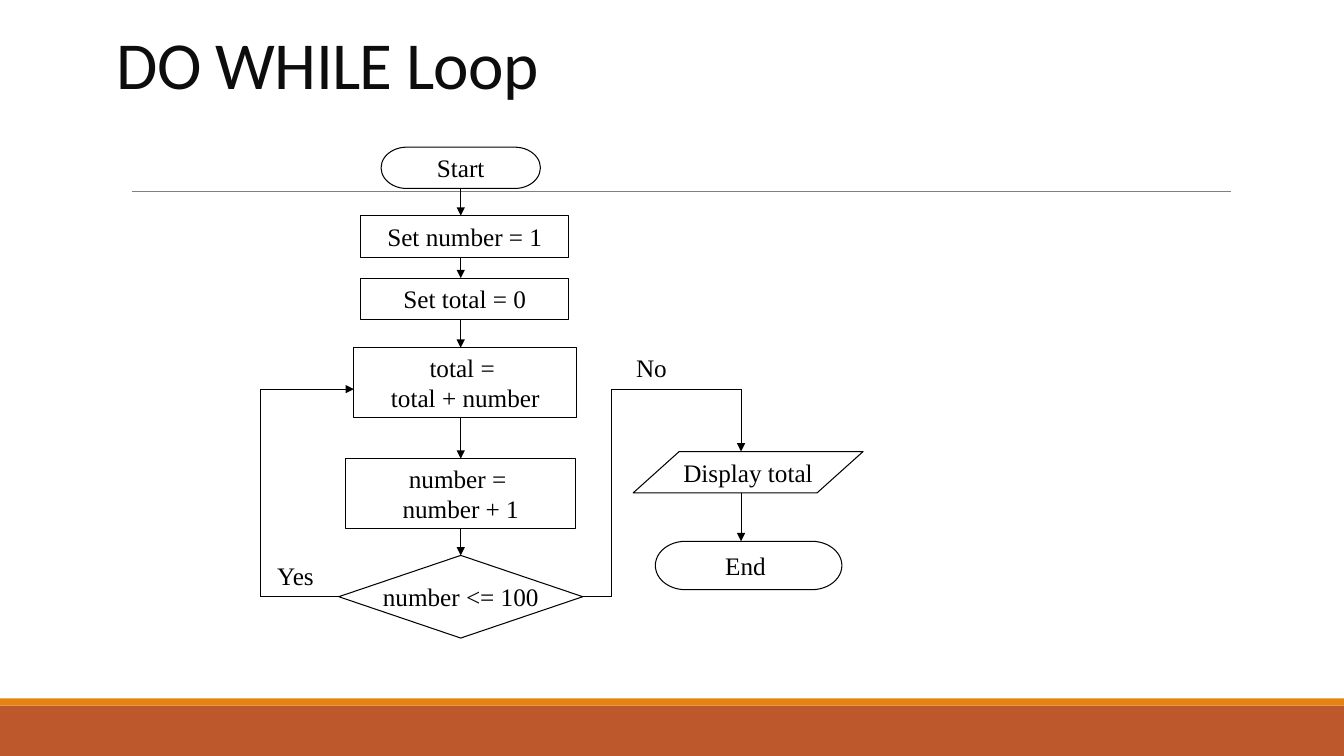
import pptx
import pptx.util
import pptx.dml.color
import pptx.enum.shapes
import pptx.enum.text
import pptx.oxml.ns
from lxml import etree

KIND = pptx.enum.shapes.MSO_SHAPE
ALIGN = pptx.enum.text.PP_ALIGN
ANCHOR = pptx.enum.text.MSO_ANCHOR
FIT = pptx.enum.text.MSO_AUTO_SIZE
TOP, LEFT, BOTTOM, RIGHT = range(4)
SCALE = 9144  # 100 px to the inch


def px(*sizes):
    return [size * SCALE for size in sizes]


def color(code):
    return pptx.dml.color.RGBColor.from_string(code)


def write(frame, text, font="Times New Roman", size=18, ink="000000",
          align=ALIGN.CENTER, anchor=ANCHOR.MIDDLE, wrap=False,
          space=None, track=None):
    frame.word_wrap = wrap
    frame.vertical_anchor = anchor
    frame.text = text
    for para in frame.paragraphs:
        para.alignment = align
        para.line_spacing = space
        for run in para.runs:
            run.font.name = font
            run.font.size = pptx.util.Pt(size)
            run.font.color.rgb = color(ink)
            if track is not None:
                run.font._element.set("spc", str(track))


class Chart:
    ink = "000000"
    weight = 0.75

    def __init__(self, slide):
        self.slide = slide
        self.shapes = slide.shapes

    def title(self, text, x, y, w, h):
        shape = self.shapes.title
        shape.left, shape.top, shape.width, shape.height = px(x, y, w, h)
        write(shape.text_frame, text, font="Calibri", size=48, ink="0D0D0D",
              align=ALIGN.LEFT, anchor=ANCHOR.BOTTOM, wrap=True,
              space=0.85, track=-50)
        shape.text_frame.auto_size = FIT.NONE

    def band(self, y, h, fill):
        shape = self.shapes.add_shape(KIND.RECTANGLE, *px(0, y, 1333, h))
        shape.shadow.inherit = False
        shape.fill.solid()
        shape.fill.fore_color.rgb = color(fill)
        shape.line.fill.background()

    def node(self, kind, text, x, y, w, h):
        shape = self.shapes.add_shape(kind, *px(x, y, w, h))
        shape.shadow.inherit = False
        shape.fill.background()
        shape.line.color.rgb = color(self.ink)
        shape.line.width = pptx.util.Pt(self.weight)
        write(shape.text_frame, text)
        return shape

    def label(self, text, x, y, w, h):
        frame = self.shapes.add_textbox(*px(x, y, w, h)).text_frame
        write(frame, text, align=ALIGN.LEFT, anchor=ANCHOR.TOP)
        frame.auto_size = FIT.SHAPE_TO_FIT_TEXT

    def line(self, x1, y1, x2, y2, arrow=False, start=None, end=None,
             ink=ink, weight=weight):
        link = self.shapes.add_connector(
            pptx.enum.shapes.MSO_CONNECTOR.STRAIGHT, *px(x1, y1, x2, y2))
        if start:
            link.begin_connect(*start)
        if end:
            link.end_connect(*end)
        link.line.color.rgb = color(ink)
        link.line.width = pptx.util.Pt(weight)
        if arrow:
            tail = etree.SubElement(link.line._get_or_add_ln(),
                                    pptx.oxml.ns.qn("a:tailEnd"))
            tail.set("type", "triangle")
        etree.SubElement(link._element.spPr, pptx.oxml.ns.qn("a:effectLst"))


def main():
    deck = pptx.Presentation()
    deck.slide_width, deck.slide_height = px(1333, 750)
    chart = Chart(deck.slides.add_slide(deck.slide_layouts[5]))

    # Page frame and title
    chart.band(700, 50, "BD582C")
    chart.band(693, 7, "E48312")
    chart.line(131, 190, 1221, 190, ink="808080", weight=0.5)
    chart.title("DO WHILE Loop", 106, 8, 900, 99)

    # Steps of the main column
    step = KIND.FLOWCHART_PROCESS
    stop = KIND.FLOWCHART_TERMINATOR
    start = chart.node(stop, "Start", 378, 146, 158, 41)
    chart.node(step, "Set number = 1", 358, 214, 206, 41)
    chart.node(step, "Set total = 0", 358, 276, 206, 41)
    chart.node(step, "total = \ntotal + number", 351, 345, 221, 69)
    count = chart.node(step, "number = \nnumber + 1", 343, 455, 228, 69)
    test = chart.node(KIND.FLOWCHART_DECISION, "number <= 100",
                      336, 551, 242, 82)

    # Steps after the loop
    chart.node(KIND.FLOWCHART_DATA, "Display total", 628, 448, 228, 41)
    chart.node(stop, "End ", 650, 537, 185, 48)

    # Arrows down both columns
    main_x, exit_x = 457, 735
    for x, y1, y2, first, last in [
            (main_x, 187, 214, (start, BOTTOM), None),
            (main_x, 255, 276, None, None),
            (main_x, 317, 345, None, None),
            (main_x, 414, 455, None, (count, TOP)),
            (main_x, 524, 551, (count, BOTTOM), (test, TOP)),
            (exit_x, 386, 448, None, None),
            (exit_x, 489, 537, None, None)]:
        chart.line(x, y1, x, y2, arrow=True, start=first, end=last)

    # Yes branch back to the sum, No branch to the output
    high, low, back_x, out_x = 386, 592, 258, 607
    chart.line(336, low, back_x, low, start=(test, LEFT))
    chart.line(back_x, low, back_x, high)
    chart.line(back_x, high, 351, high, arrow=True)
    chart.line(578, low, out_x, low, start=(test, RIGHT))
    chart.line(out_x, low, out_x, high)
    chart.line(out_x, high, exit_x, high)
    chart.label("No", 621, 345, 51, 40)
    chart.label("Yes", 265, 551, 57, 40)

    deck.save("out.pptx")


if __name__ == "__main__":
    main()
